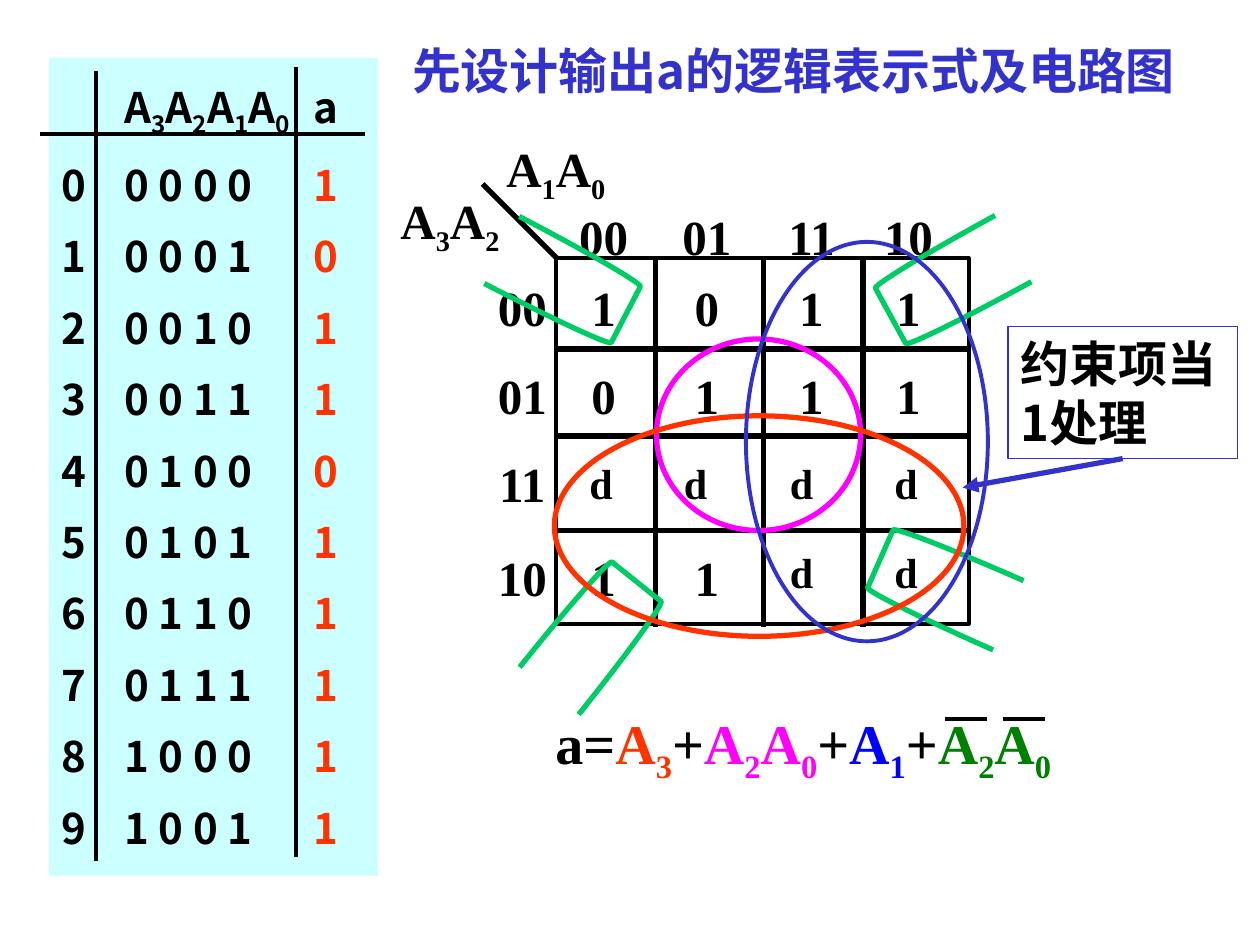
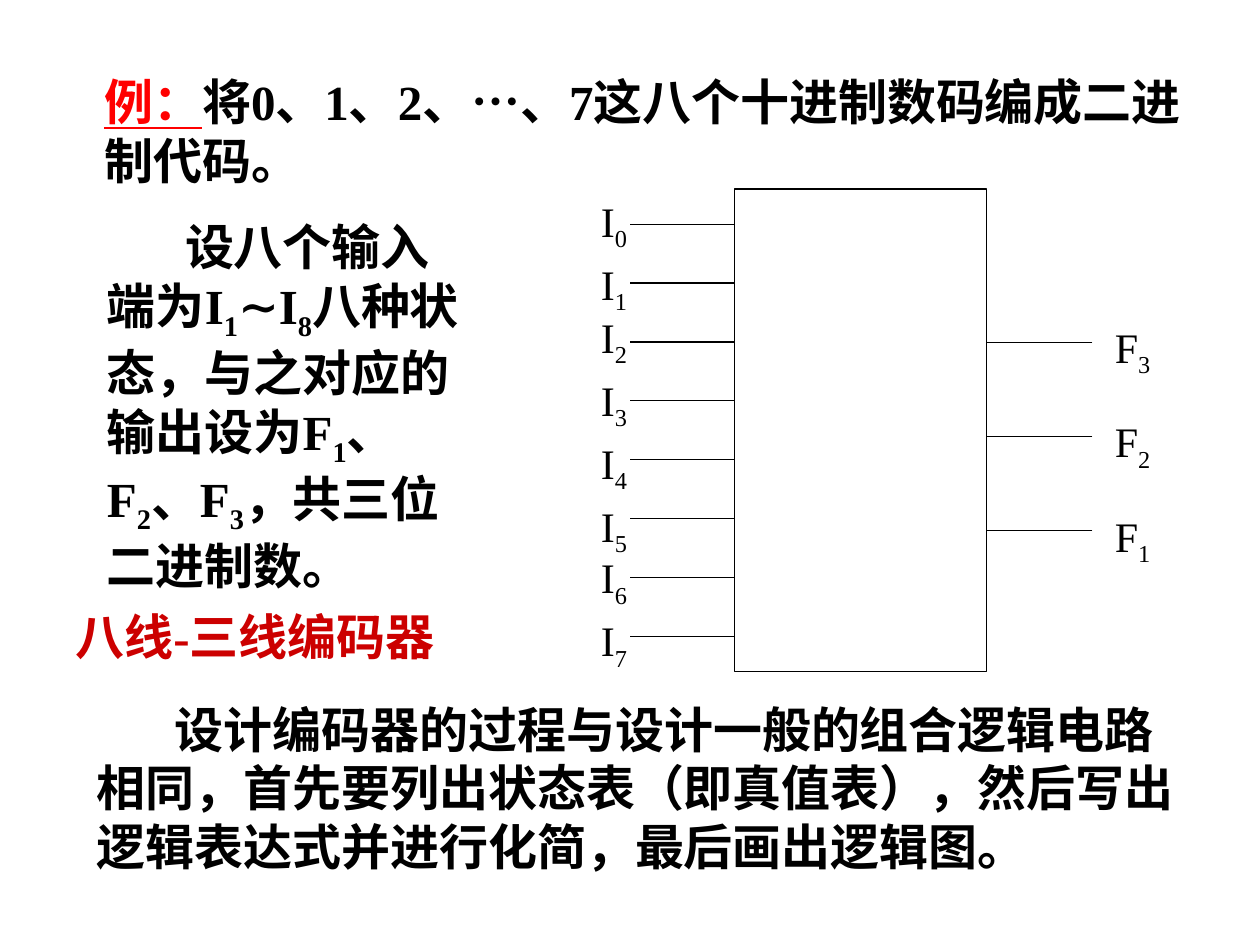
from dataclasses import dataclass

from lxml import etree
from pptx import Presentation
from pptx.dml.color import RGBColor
from pptx.enum.shapes import MSO_CONNECTOR, MSO_SHAPE
from pptx.enum.text import MSO_ANCHOR, MSO_AUTO_SIZE, PP_ALIGN
from pptx.oxml.ns import qn
from pptx.util import Inches, Pt

RECTANGLE = MSO_SHAPE.RECTANGLE
ELLIPSE = MSO_SHAPE.OVAL
BRACKET = MSO_SHAPE.LEFT_BRACKET
STRAIGHT = MSO_CONNECTOR.STRAIGHT
TOP, MIDDLE = MSO_ANCHOR.TOP, MSO_ANCHOR.MIDDLE
LEFT, CENTER = PP_ALIGN.LEFT, PP_ALIGN.CENTER
GROW = MSO_AUTO_SIZE.SHAPE_TO_FIT_TEXT
BOTTOM_SIDE = 2

# The page is a grid of 100 columns by 75 rows of square units.
WIDTH, HEIGHT = Inches(10), Inches(7.5)
UNIT = WIDTH / 100

SERIF, SANS = "Times New Roman", "Noto Sans CJK SC"
BLACK, WHITE, INDIGO, PALE = "000000", "FFFFFF", "3333CC", "CCFFFF"
ORANGE, MAGENTA, BLUE = "FF3300", "FF00FF", "0000FF"
GREEN, LEAF, RED, CRIMSON = "008000", "00CC66", "FF0000", "CC0000"


@dataclass(frozen=True)
class Area:
    left: float
    top: float
    width: float
    height: float


@dataclass(frozen=True)
class Span:
    text: str
    color: str = BLACK
    sub: bool = False
    underline: bool = False


@dataclass(frozen=True)
class Style:
    size: int = 28
    font: str = SERIF
    bold: bool = True
    align: int = LEFT
    anchor: int = MIDDLE
    indent: float = 0
    gap: bool = True


@dataclass(frozen=True)
class Loop:
    """A ring or bracket around the cells that form one term."""
    area: Area
    color: str
    weight: float = 3
    turn: float = 0


HEADING = Style(font=SANS)
CENTERED = Style(align=CENTER)
DONT_CARE = Style(size=24, anchor=TOP)
PIN = Style(size=24, bold=False, anchor=TOP)
PROSE = Style(anchor=TOP)
INDENTED = Style(anchor=TOP, indent=6.2)


def grid(count: float) -> int:
    return round(count * UNIT)


def rgb(code: str) -> RGBColor:
    return RGBColor.from_string(code)


def spans_of(text: str, color: str = BLACK) -> list[Span]:
    """Split text into spans; the character after each _ is a subscript."""
    first, *others = text.split("_")
    spans = [Span(first, color)]
    for other in others:
        spans.append(Span(other[0], color, sub=True))
        if other[1:]:
            spans.append(Span(other[1:], color))
    return spans


def write_para(para, spans: list[Span], style: Style, tabs=()) -> None:
    para.alignment = style.align
    settings = para._p.get_or_add_pPr()
    settings.set("marL", "0")
    settings.set("indent", str(grid(style.indent)))
    if style.gap:
        before = etree.SubElement(settings, qn("a:spcBef"))
        etree.SubElement(before, qn("a:spcPct")).set("val", "50000")
    if tabs:
        stops = etree.SubElement(settings, qn("a:tabLst"))
        for stop in tabs:
            etree.SubElement(stops, qn("a:tab"), pos=str(grid(stop)), algn="l")
    for span in spans:
        run = para.add_run()
        run.text = span.text
        font = run.font
        font.name, font.size, font.bold = style.font, Pt(style.size), style.bold
        font.color.rgb = rgb(span.color)
        properties = run._r.get_or_add_rPr()
        etree.SubElement(properties, qn("a:ea")).set("typeface", SANS)
        if span.underline:
            font.underline = True
        if span.sub:
            properties.set("baseline", "-25000")


def set_frame(shape, anchor: int):
    frame = shape.text_frame
    frame.word_wrap = True
    frame.auto_size = GROW
    frame.vertical_anchor = anchor
    return frame


def write(shape, spans: list[Span], style: Style) -> None:
    write_para(set_frame(shape, style.anchor).paragraphs[0], spans, style)


def place(shape, area: Area) -> None:
    shape.left, shape.top = grid(area.left), grid(area.top)
    shape.width, shape.height = grid(area.width), grid(area.height)


def add_text(page, area: Area, spans: list[Span], style: Style) -> None:
    box = page.shapes.add_textbox(0, 0, 0, 0)
    place(box, area)
    write(box, spans, style)


def add_figure(page, kind: int, area: Area, fill="", line="", weight=0.75):
    figure = page.shapes.add_shape(kind, 0, 0, 0, 0)
    place(figure, area)
    figure.shadow.inherit = False
    if fill:
        figure.fill.solid()
        figure.fill.fore_color.rgb = rgb(fill)
    else:
        figure.fill.background()
    if line:
        figure.line.color.rgb = rgb(line)
        figure.line.width = Pt(weight)
    else:
        figure.line.fill.background()
    return figure


def add_line(page, start: tuple, end: tuple, weight: float, color=BLACK):
    line = page.shapes.add_connector(STRAIGHT, *map(grid, start + end))
    line.line.color.rgb = rgb(color)
    line.line.width = Pt(weight)
    etree.SubElement(line._element.spPr, qn("a:effectLst"))
    return line


def add_loop(page, kind: int, loop: Loop) -> None:
    figure = add_figure(page, kind, loop.area, line=loop.color, weight=loop.weight)
    figure.rotation = loop.turn
    if kind == BRACKET:
        figure.adjustments[0] = 0.083


def add_karnaugh_map(page) -> None:
    add_text(page, Area(30.8, 14.9, 11.9, 5.7), spans_of("A_3A_2"), Style())
    add_figure(page, RECTANGLE, Area(44.1, 20.5, 32.8, 29), WHITE, BLACK, 2.25)
    for x in (52, 60.6, 68.5):
        add_line(page, (x, 20.5), (x, 49.8), 3)
    for y in (27.7, 34.6, 42.1):
        add_line(page, (44.2, y), (77.1, y), 3)
    add_line(page, (44.2, 20.5), (38.3, 14.6), 3)
    add_text(page, Area(39.2, 10.8, 11.9, 5.7), spans_of("A_1A_0"), Style())

    codes = ("00", "01", "11", "10")
    centers = (47.9, 56.1, 64.4, 72.1)
    tops = (21.5, 28.5, 35.5, 42.9)
    for code, center, top in zip(codes, centers, tops):
        add_text(page, Area(center - 3.75, 15.9, 7.5, 5.7), [Span(code)], CENTERED)
        add_text(page, Area(37.7, top, 7.5, 5.7), [Span(code)], CENTERED)
    for cells, top in zip(("1011", "0111", "", "11"), tops):
        for value, center in zip(cells, centers):
            add_text(page, Area(center - 2.6, top, 5.2, 5.7), [Span(value)], CENTERED)


def add_dont_cares(page) -> None:
    lefts = (45.8, 53.3, 61.7, 70)
    for top, columns in ((35.8, lefts), (42.9, lefts[2:])):
        for left in columns:
            add_text(page, Area(left, top, 5, 5), [Span("d")], DONT_CARE)


def add_formula(page) -> None:
    terms = (("A_3", ORANGE), ("A_2A_0", MAGENTA), ("A_1", BLUE), ("A_2A_0", GREEN))
    spans = [Span("a=")]
    for number, (term, color) in enumerate(terms):
        if number:
            spans.append(Span("+"))
        spans += spans_of(term, color)
    add_text(page, Area(39.8, 56.1, 51, 6.3), spans, Style(size=32, indent=3.3))
    for x in (75, 79.6):
        add_line(page, (x, 57.1), (x + 3.3, 57.1), 2.25)


def add_truth_table(page) -> None:
    panel = add_figure(page, RECTANGLE, Area(3.9, 4.6, 26.1, 64.9), PALE)
    frame = set_frame(panel, MIDDLE)
    style = Style(size=24, font=SANS)
    header = spans_of("\tA_3A_2A_1A_0") + [Span("\ta")]
    write_para(frame.paragraphs[0], header, style, (2.25, 16.8))
    for digit, output in enumerate("1011011111"):
        bits = " ".join(f"{digit:04b}")
        row = [Span(f"{digit}\t{bits}\t"), Span(output, ORANGE)]
        write_para(frame.add_paragraph(), row, style, (3.45, 15.1))
    add_line(page, (3.2, 10.6), (29, 10.6), 2.25)
    for x, top in ((23.5, 5.3), (7.6, 5.6)):
        add_line(page, (x, top), (x, top + 62.7), 2.25)


def add_callout(page) -> None:
    callout = add_figure(page, RECTANGLE, Area(80, 25.9, 18.2, 10.5), line=INDIGO)
    write(callout, [Span("约束项当1处理")], HEADING)
    arrow = add_line(page, (89.1, 36.4), (76.4, 38.7), 3, INDIGO)
    arrow.begin_connect(callout, BOTTOM_SIDE)
    etree.SubElement(arrow.line._get_or_add_ln(), qn("a:tailEnd"), type="triangle")


def build_map_slide(deck) -> None:
    page = deck.slides.add_slide(deck.slide_layouts.get_by_name("Title Only"))
    title = page.shapes.title
    place(title, Area(31.7, 2.7, 65.9, 5.7))
    write(title, [Span("先设计输出a的逻辑表示式及电路图", INDIGO)], HEADING)
    add_karnaugh_map(page)
    add_callout(page)
    add_loop(page, ELLIPSE, Loop(Area(52.1, 26.9, 16.2, 15.2), MAGENTA))
    corners = ((70, 19.4, 331.3), (69.4, 43.6, 23.8),
               (41.5, 47.5, 128.7), (39.2, 19.4, 207.5))
    for left, top, turn in corners:
        add_loop(page, BRACKET, Loop(Area(left, top, 11.1, 6), LEAF, turn=turn))
    add_formula(page)
    add_truth_table(page)
    add_loop(page, ELLIPSE, Loop(Area(44, 33, 32.5, 17.5), ORANGE))
    add_dont_cares(page)
    add_loop(page, ELLIPSE, Loop(Area(59.2, 19.2, 19.2, 31.7), INDIGO, 2.25))


def add_encoder(page) -> None:
    add_figure(page, RECTANGLE, Area(58.3, 15, 20, 38.3), line=BLACK)
    label_tops = (15, 20, 24.2, 29.2, 34.2, 39.2, 43.3, 48.3)
    for number, top in enumerate(label_tops):
        y = 17.8 + 4.67 * number
        add_line(page, (58.3, y), (50, y), 0.75)
        add_text(page, Area(46.7, top, 6, 5), spans_of(f"I_{number}"), PIN)
    for step, number in enumerate((3, 2, 1)):
        y = 27.2 + 7.45 * step
        add_line(page, (86.7, y), (78.3, y), 0.75)
        add_text(page, Area(87.5, 25 + 7.5 * step, 6, 5), spans_of(f"F_{number}"), PIN)


def build_encoder_slide(deck) -> None:
    page = deck.slides.add_slide(deck.slide_layouts.get_by_name("Blank"))
    task = [Span("例：", RED, underline=True),
            Span("将0、1、2、…、7这八个十进制数码编成二进制代码。")]
    add_text(page, Area(7.3, 5.2, 88.6, 10.3), task, PROSE)
    add_text(page, Area(5, 47.6, 32.5, 5.7), [Span("八线-三线编码器", CRIMSON)],
             Style(gap=False))
    setup = "设八个输入端为I_1∼I_8八种状态，与之对应的输出设为F_1、F_2、F_3，共三位二进制数。"
    add_text(page, Area(7.5, 16.7, 30.8, 29), spans_of(setup), INDENTED)
    method = ("设计编码器的过程与设计一般的组合逻辑电路相同，首先要列出状态表"
              "（即真值表），然后写出逻辑表达式并进行化简，最后画出逻辑图。")
    add_text(page, Area(6.7, 55, 89.2, 15), [Span(method)], INDENTED)
    add_encoder(page)


def main() -> None:
    deck = Presentation()
    deck.slide_width, deck.slide_height = WIDTH, HEIGHT
    build_map_slide(deck)
    build_encoder_slide(deck)
    deck.save("out.pptx")


if __name__ == "__main__":
    main()
